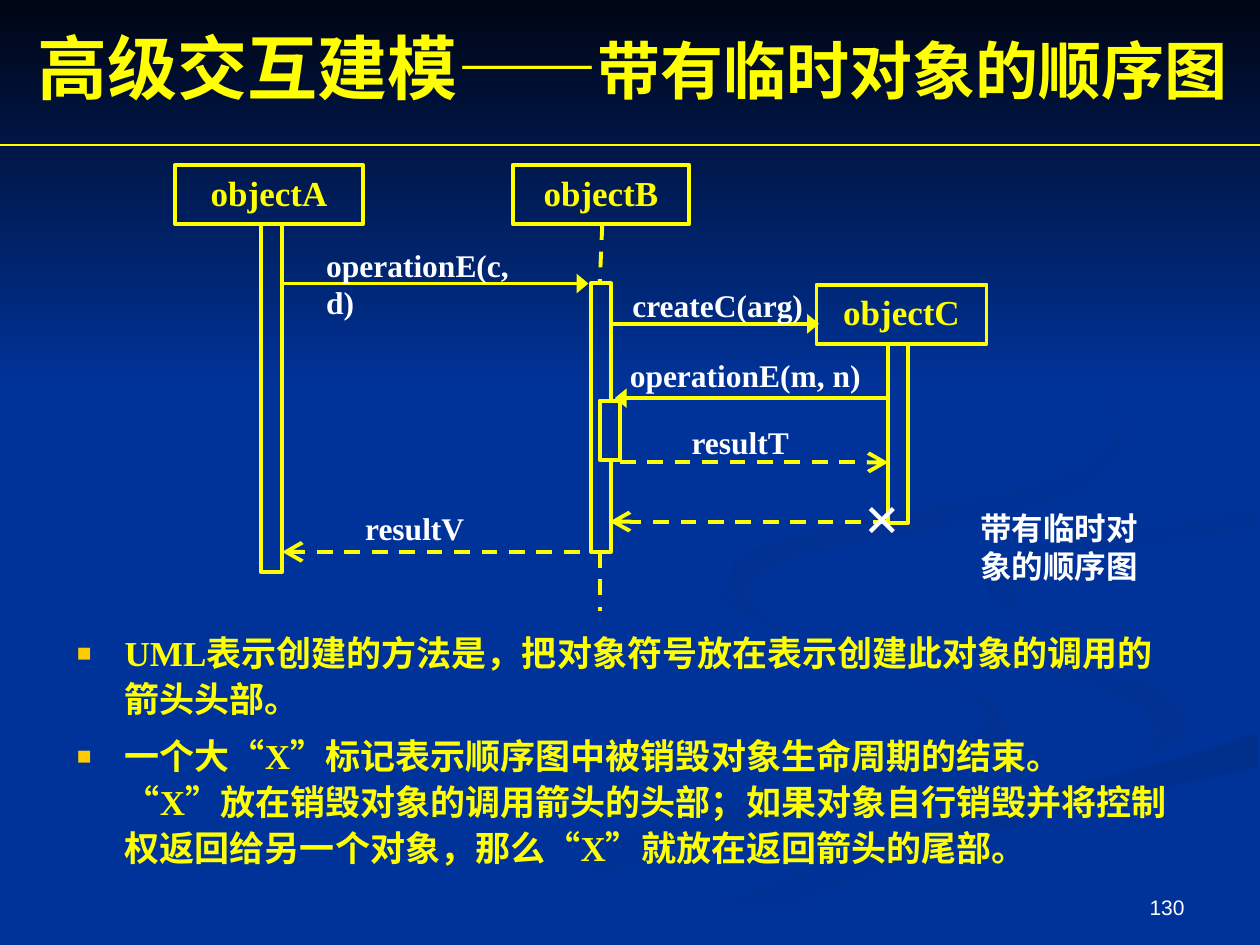
import itertools
from dataclasses import dataclass

import pptx
import pptx.dml.color
import pptx.enum.dml
import pptx.enum.shapes
import pptx.enum.text
import pptx.oxml
import pptx.oxml.ns
import pptx.util
from pptx.util import Inches

Shape = pptx.enum.shapes.MSO_SHAPE
Align = pptx.enum.text.PP_ALIGN
Anchor = pptx.enum.text.MSO_ANCHOR


@dataclass
class Theme:
    serif: str = "Times New Roman"
    sans: str = "Arial"
    yellow: str = "FFFF00"
    white: str = "FFFFFF"
    blue: str = "003399"
    gold: str = "FFCC00"
    title: int = 40
    subtitle: int = 36
    body: int = 20
    label: int = 18
    small: int = 12
    stroke: float = 2.25


theme = Theme()

# Content
TITLE = [("高级交互建模——", theme.title), ("带有临时对象的顺序图", theme.subtitle)]
BULLETS = [
    "UML表示创建的方法是，把对象符号放在表示创建此对象的调用的箭头头部。",
    "一个大“X”标记表示顺序图中被销毁对象生命周期的结束。“X”放在销毁对象的调用箭头的头部；"
    "如果对象自行销毁并将控制权返回给另一个对象，那么“X”就放在返回箭头的尾部。",
]
OBJECTS = [  # name, left, top, width
    ("objectA", 1.39, 1.31, 1.49), ("objectB", 4.07, 1.31, 1.4), ("objectC", 6.48, 2.26, 1.35)]
OBJECT_HEIGHT = 0.47
ACTIVATIONS = [  # left, top, width, height, fill
    (2.07, 1.78, 0.17, 2.76, None), (4.69, 2.25, 0.16, 2.13, None),
    (7.05, 2.73, 0.16, 1.42, None), (4.76, 3.18, 0.16, 0.47, theme.blue)]
CALLS = [(2.23, 4.67, 2.25), (4.84, 6.5, 2.57), (7.05, 4.88, 3.16)]  # from x, to x, y
RETURNS = [(4.92, 7.05, 3.67), (7.05, 4.84, 4.14), (4.6, 2.24, 4.38)]
LIFELINES = [(4.78, 1.78, 4.76, 2.25), (4.76, 4.38, 4.76, 4.85)]
LABELS = [  # text, left, top, width, height, size
    ("operationE(c, d)", 2.49, 1.9, 1.89, 0.4, theme.label),
    ("createC(arg)", 4.92, 2.22, 1.58, 0.4, theme.label),
    ("operationE(m, n)", 4.9, 2.78, 2.05, 0.4, theme.label),
    ("resultT", 5.39, 3.31, 1.1, 0.4, theme.label),
    ("resultV", 2.8, 3.99, 1.1, 0.4, theme.label),
    ("带有临时对象的顺序图", 7.68, 3.99, 1.65, 0.7, theme.label),
    ("×", 6.76, 3.75, 0.63, 0.7, theme.subtitle)]

# Background ribbons: first colour, last colour, clockwise angle, outline
RIBBONS = [
    (theme.blue, "003193", 0, [
        (7.81, 5.53), (7.45, 5.38), (6.82, 5.19), (6.26, 5.02), (5.94, 4.85), (5.79, 4.73),
        (5.75, 4.59), (5.7, 4.72), (5.81, 4.84), (6.11, 4.99), (6.79, 5.19), (7.28, 5.35),
        (7.7, 5.51), (7.86, 5.66), (7.74, 5.83), (7.39, 5.98), (6.84, 6.13), (5.79, 6.39),
        (4.99, 6.61), (4.17, 6.9), (3.38, 7.27), (3, 7.49), (3.61, 7.49), (4.31, 7.14),
        (4.99, 6.87), (5.94, 6.56), (6.99, 6.28), (7.69, 6.09), (7.95, 5.92), (8, 5.81),
        (7.92, 5.61)]),
    (theme.blue, "003193", 45, [
        (9.43, 5.7), (9.3, 5.53), (9.05, 5.4), (8.5, 5.24), (7.92, 5.09), (7.45, 4.9),
        (7.27, 4.74), (7.24, 4.64), (7.27, 4.79), (7.46, 5), (7.81, 5.18), (8.38, 5.36),
        (8.8, 5.49), (9.07, 5.62), (9.18, 5.81), (9.11, 5.93), (8.94, 6.05), (9.25, 5.93),
        (9.41, 5.81)]),
    ("002F8C", theme.blue, 90, [
        (5.19, 7.47), (5.03, 7.49), (5.71, 7.49), (6, 7.33), (6.49, 7.1), (7.22, 6.82),
        (8.21, 6.51), (9.03, 6.3), (9.98, 6.09), (9.98, 5.81), (9.63, 5.94), (9.03, 6.1),
        (7.97, 6.38), (6.96, 6.69), (6.3, 6.93), (5.69, 7.19)]),
    ("003091", theme.blue, 45, [
        (7.81, 4.6), (7.86, 4.74), (8.06, 4.87), (8.26, 4.96), (8.09, 4.84), (8.05, 4.72),
        (8.16, 4.59), (8.43, 4.48), (8.96, 4.35), (9.54, 4.26), (9.98, 4.2), (9.98, 4.02),
        (9.33, 4.15), (8.65, 4.24), (8.1, 4.37), (7.91, 4.47)]),
    ("002F8E", theme.blue, 45, [
        (6.83, 4.3), (7.39, 4.21), (8.07, 4.07), (8.55, 3.91), (8.83, 3.7), (8.94, 3.44),
        (8.86, 3.16), (8.64, 2.91), (8.21, 2.61), (7.89, 2.45), (7.62, 2.33), (8.05, 2.54),
        (8.46, 2.79), (8.76, 3.06), (8.89, 3.35), (8.82, 3.54), (8.61, 3.7), (8.18, 3.86),
        (7.33, 4.04), (6.49, 4.2), (6.05, 4.33), (5.84, 4.46), (5.77, 4.62), (5.84, 4.79),
        (6.04, 4.92), (6.22, 5), (6.01, 4.85), (5.93, 4.7), (6.01, 4.56), (6.24, 4.44)]),
]


def rgb(value):
    return pptx.dml.color.RGBColor.from_string(value)


def add_xml(parent, tag, **attributes):
    child = pptx.oxml.parse_xml(f"<a:{tag} {pptx.oxml.ns.nsdecls('a')}/>")
    for name, value in attributes.items():
        child.set(name, value)
    parent.append(child)
    return child


def write(para, text, size=theme.label, color=theme.white, bold=True, font=theme.serif,
          align=Align.LEFT):
    """Add text to a paragraph; quotes and dashes take the sans font."""
    para.alignment = align
    for is_mark, letters in itertools.groupby(text, key=lambda letter: letter in "“”—"):
        span = para.add_run()
        span.text = "".join(letters)
        span.font.name = theme.sans if is_mark else font
        span.font.size = pptx.util.Pt(size)
        span.font.bold = bold
        span.font.color.rgb = rgb(color)


def place(box, left, top, width, height, anchor=Anchor.TOP):
    box.left, box.top, box.width, box.height = map(Inches, (left, top, width, height))
    box.text_frame.word_wrap = True
    box.text_frame.auto_size = pptx.enum.text.MSO_AUTO_SIZE.NONE
    box.text_frame.vertical_anchor = anchor
    return box.text_frame


def add_label(page, text, left, top, width, height, anchor=Anchor.TOP, **style):
    box = page.shapes.add_textbox(0, 0, 0, 0)
    write(place(box, left, top, width, height, anchor).paragraphs[0], text, **style)


def shade(shape, first, last, angle):
    shape.shadow.inherit = False
    shape.line.fill.background()
    shape.fill.gradient()
    shape.fill.gradient_angle = (360 - angle) % 360
    for stop, color in zip(shape.fill.gradient_stops, (first, last)):
        stop.color.rgb = rgb(color)


def add_frame(page, left, top, width, height, fill=None):
    shape = page.shapes.add_shape(Shape.RECTANGLE, *map(Inches, (left, top, width, height)))
    shape.shadow.inherit = False
    if fill:
        shape.fill.solid()
        shape.fill.fore_color.rgb = rgb(fill)
    else:
        shape.fill.background()
    shape.line.color.rgb = rgb(theme.yellow)
    shape.line.width = pptx.util.Pt(theme.stroke)
    shape.text_frame.vertical_anchor = Anchor.TOP
    return shape


def add_line(page, x1, y1, x2, y2, width=theme.stroke, dashed=False, head=None, length="med"):
    line = page.shapes.add_connector(
        pptx.enum.shapes.MSO_CONNECTOR.STRAIGHT, *map(Inches, (x1, y1, x2, y2)))
    line.line.color.rgb = rgb(theme.yellow)
    line.line.width = pptx.util.Pt(width)
    if dashed:
        line.line.dash_style = pptx.enum.dml.MSO_LINE.DASH
    if head:
        add_xml(line.line._get_or_add_ln(), "tailEnd", type=head, w="lg", len=length)
    add_xml(line._element.spPr, "effectLst")


def add_background(page):
    page.background.fill.solid()
    page.background.fill.fore_color.rgb = rgb(theme.blue)
    layers = []
    for first, last, angle, outline in RIBBONS:
        points = [(Inches(x), Inches(y)) for x, y in outline]
        builder = page.shapes.build_freeform(*points[0])
        builder.add_line_segments(points[1:], close=True)
        layers.append(builder.convert_to_shape())
        shade(layers[-1], first, last, angle)
    sky = page.shapes.add_shape(Shape.RECTANGLE, 0, 0, Inches(10), Inches(3.08))
    shade(sky, "000514", theme.blue, 90)
    # Keep the backdrop behind the placeholders
    for position, layer in enumerate(layers + [sky], start=2):
        page.shapes.element.insert(position, layer._element)


def main():
    deck = pptx.Presentation()
    deck.slide_width, deck.slide_height = Inches(10), Inches(7.5)
    page = deck.slides.add_slide(deck.slide_layouts[1])
    add_background(page)

    # Title and rule
    heading = place(page.shapes.title, 0.2, 0.14, 9.8, 0.77, Anchor.MIDDLE).paragraphs[0]
    for text, size in TITLE:
        write(heading, text, size=size, color=theme.yellow)
    add_line(page, 0, 1.15, 10, 1.15, width=0.75)

    # Bullets
    body = place(page.placeholders[1], 0.51, 4.93, 9, 2.13)
    for index, text in enumerate(BULLETS):
        para = body.add_paragraph() if index else body.paragraphs[0]
        props = para._p.get_or_add_pPr()
        props.set("marL", str(Inches(0.38)))
        props.set("indent", str(-Inches(0.38)))
        add_xml(add_xml(props, "buClr"), "srgbClr", val=theme.gold)
        add_xml(props, "buSzPct", val="70000")
        add_xml(props, "buChar", char="■")
        para.line_spacing = 1.1
        para.space_before = pptx.util.Pt(6 if index else 0)
        write(para, text, size=theme.body, color=theme.yellow)

    # Sequence diagram
    for name, left, top, width in OBJECTS:
        frame = add_frame(page, left, top, width, OBJECT_HEIGHT).text_frame
        write(frame.paragraphs[0], name, size=theme.body, color=theme.yellow, align=Align.CENTER)
    for x1, x2, y in CALLS:
        add_line(page, x1, y, x2, y, head="triangle")
    for x1, x2, y in RETURNS:
        add_line(page, x1, y, x2, y, dashed=True, head="arrow", length="lg")
    for ends in LIFELINES:
        add_line(page, *ends, dashed=True)
    for bar in ACTIVATIONS:
        add_frame(page, *bar)
    for text, left, top, width, height, size in LABELS:
        add_label(page, text, left, top, width, height, size=size)

    # Page number
    add_label(page, "130", 7.17, 6.83, 2.33, 0.52, anchor=Anchor.BOTTOM, size=theme.small,
              bold=False, font=theme.sans, align=Align.RIGHT)
    deck.save("out.pptx")


if __name__ == "__main__":
    main()
